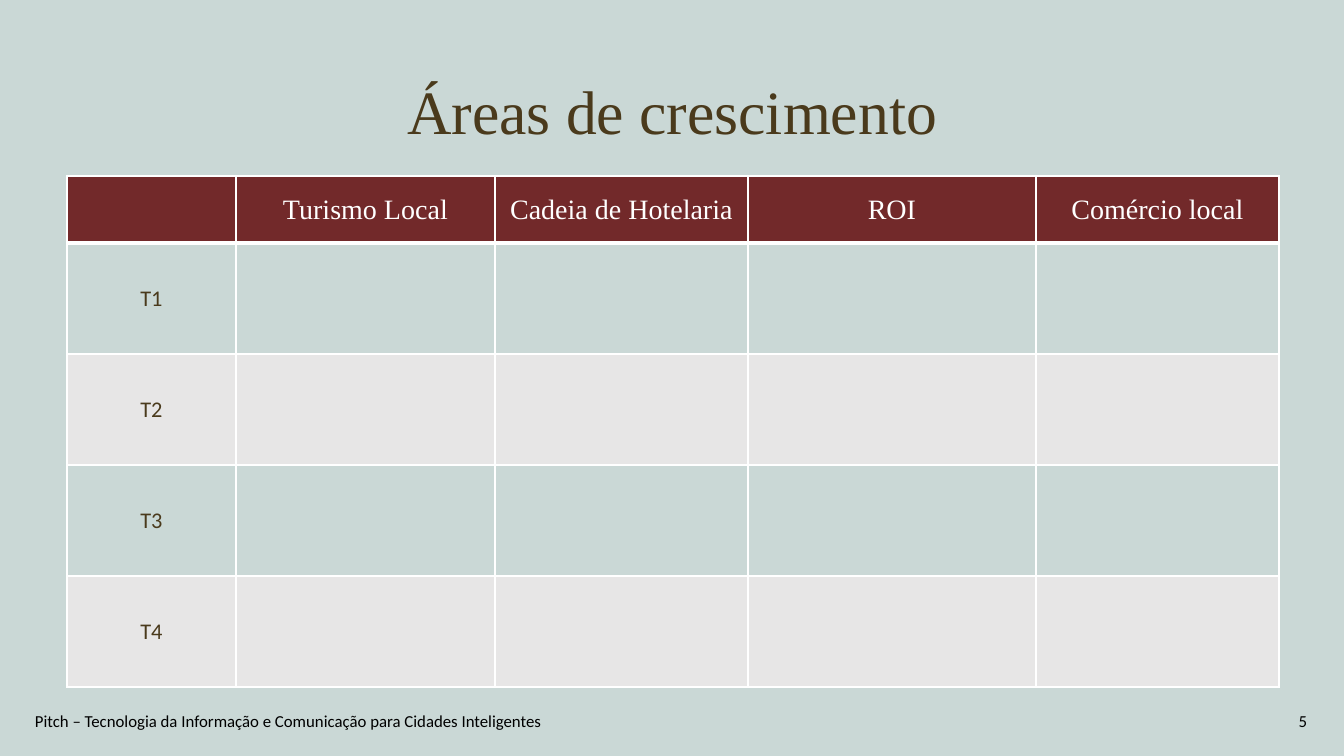
from lxml import etree
from pptx import Presentation, util as u
from pptx.dml.color import RGBColor
from pptx.enum import text
from pptx.oxml.ns import qn

EMU_PER_PX = 914400 / 100.8
COLORS = {
    "background": "CAD8D6",
    "header": "72292A",
    "band": "E7E6E6",
    "brown": "4A3A1C",
    "white": "FFFFFF",
    "black": "000000",
}
SERIF, SANS = "Times New Roman", "Calibri"
ALIGN = text.PP_ALIGN


def px(length):
    return u.Emu(round(length * EMU_PER_PX))


def rgb(name):
    return RGBColor.from_string(COLORS[name])


class SlideBuilder:
    def __init__(self, deck):
        self.slide = deck.slides.add_slide(deck.slide_layouts[6])
        fill = self.slide.background.fill
        fill.solid()
        fill.fore_color.rgb = rgb("background")

    def set_wording(self, paragraph, wording, size, font, color, align):
        paragraph.text = wording
        paragraph.alignment = align
        paragraph.font.size = u.Pt(size)
        paragraph.font.name = font
        paragraph.font.color.rgb = rgb(color)

    def label(self, box, wording, size, font, color, align, spacing=None):
        frame = self.slide.shapes.add_textbox(*map(px, box)).text_frame
        frame.word_wrap = True
        frame.vertical_anchor = text.MSO_ANCHOR.MIDDLE
        self.set_wording(frame.paragraphs[0], wording, size, font, color, align)
        frame.paragraphs[0].line_spacing = spacing

    def borders(self, cell, widths):
        properties = cell._tc.get_or_add_tcPr()
        for side, width in widths.items():
            line = etree.SubElement(properties, qn(f"a:ln{side}"), w=str(u.Pt(width)))
            solid = etree.SubElement(line, qn("a:solidFill"))
            etree.SubElement(solid, qn("a:srgbClr"), val=COLORS["white"])

    def table(self, left, top, widths, heights, rows):
        grid = self.slide.shapes.add_table(
            len(heights), len(widths), px(left), px(top), px(sum(widths)), px(sum(heights))
        ).table
        for column, width in zip(grid.columns, widths):
            column.width = px(width)
        for r, (row, height) in enumerate(zip(rows, heights)):
            grid.rows[r].height = px(height)
            fill = "header" if r == 0 else "background" if r % 2 else "band"
            style = (20, SERIF, "white") if r == 0 else (16, SANS, "brown")
            rules = {"L": 1, "R": 1, "T": 3 if r == 1 else 1, "B": 3 if r == 0 else 1}
            for c, wording in enumerate(row):
                cell = grid.cell(r, c)
                cell.vertical_anchor = text.MSO_ANCHOR.MIDDLE
                self.set_wording(cell.text_frame.paragraphs[0], wording, *style, ALIGN.CENTER)
                self.borders(cell, rules)
                cell.fill.solid()
                cell.fill.fore_color.rgb = rgb(fill)


def main():
    deck = Presentation()
    deck.slide_width, deck.slide_height = px(1344), px(756)
    growth = SlideBuilder(deck)

    growth.label((93, 42, 1159, 146), "Áreas de crescimento", 44, SERIF, "brown", ALIGN.CENTER, 0.9)

    areas = ["", "Turismo Local", "Cadeia de Hotelaria", "ROI", "Comércio local"]
    quarters = [[f"T{n}"] + [""] * 4 for n in range(1, 5)]
    growth.table(67, 176, [169, 259, 253, 288, 243], [67] + [111] * 4, [areas] + quarters)

    growth.label((1015, 701, 302, 40), "5", 12, SANS, "black", ALIGN.RIGHT)
    growth.label(
        (25, 706, 605, 30),
        "Pitch – Tecnologia da Informação e Comunicação para Cidades Inteligentes",
        12, SANS, "black", ALIGN.LEFT,
    )
    deck.save("out.pptx")


if __name__ == "__main__":
    main()
